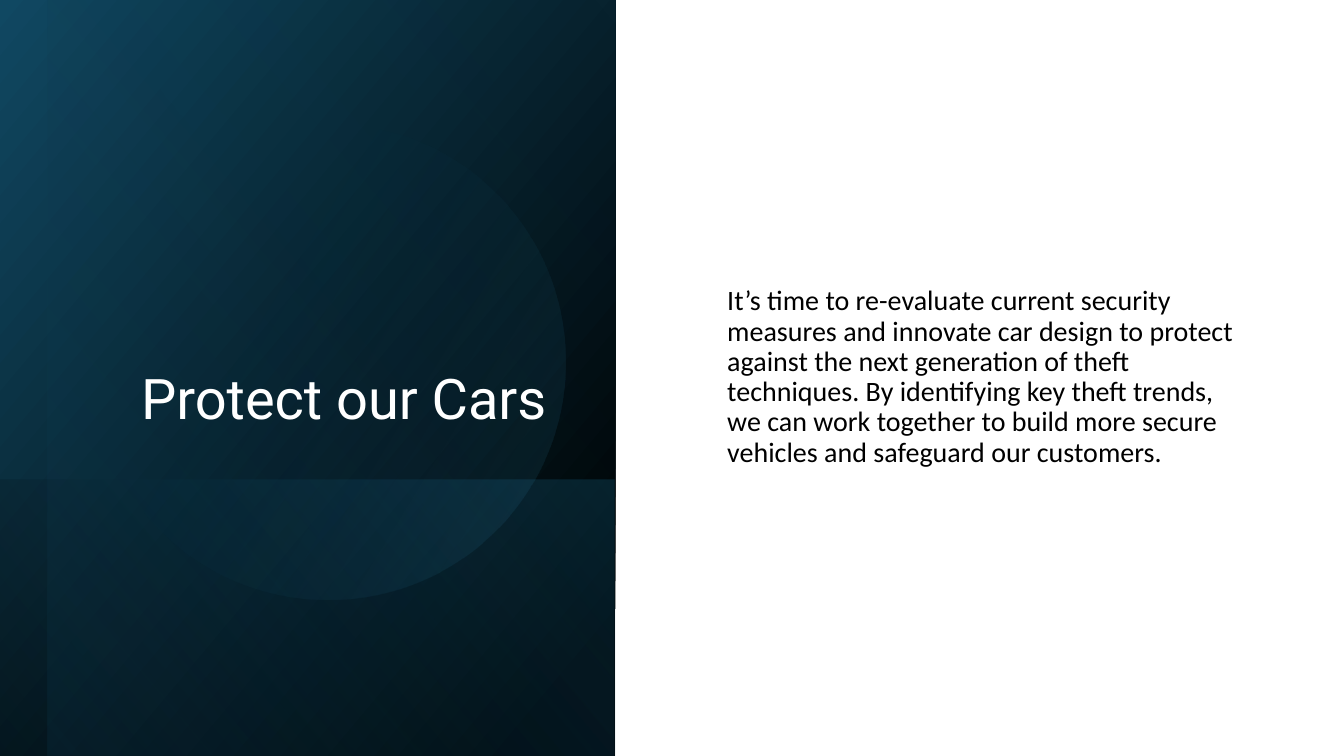
import pptx
import pptx.dml.color
import pptx.enum.shapes
import pptx.enum.text
import pptx.oxml
import pptx.oxml.ns
import pptx.util

PX = 9525  # EMU per px, 96 px to the inch
COLOURS = {
    "black": "000000",
    "white": "FFFFFF",
    "navy": "104862",
    "teal": "156082",
    "sky": "46B1E1",
}
SHAPES = pptx.enum.shapes.MSO_SHAPE
ALIGN = pptx.enum.text.PP_ALIGN
ANCHOR = pptx.enum.text.MSO_ANCHOR

presentation = pptx.Presentation()
presentation.slide_width = 1280 * PX
presentation.slide_height = 720 * PX
slide = presentation.slides.add_slide(presentation.slide_layouts[1])
slide.background.fill.solid()
slide.background.fill.fore_color.rgb = pptx.dml.color.RGBColor.from_string(COLOURS["white"])


def write_text(placeholder, text, *, box, font, size, colour, align, anchor, before=0):
    placeholder.left, placeholder.top, placeholder.width, placeholder.height = (
        length * PX for length in box
    )
    frame = placeholder.text_frame
    frame.word_wrap = True
    frame.auto_size = pptx.enum.text.MSO_AUTO_SIZE.NONE
    frame.vertical_anchor = anchor
    paragraph = frame.paragraphs[0]
    paragraph.alignment = align
    paragraph.line_spacing = 0.9
    paragraph.space_before = pptx.util.Pt(before)
    run = paragraph.add_run()
    run.text = text
    run.font.name = font
    run.font.size = pptx.util.Pt(size)
    run.font.color.rgb = pptx.dml.color.RGBColor.from_string(colour)
    return paragraph


# Left panel: visible box, rotation, gradient angle, stops (position, colour, opacity %)
layers = [
    (SHAPES.RECTANGLE, (0, 0, 586, 720), 90, 50,
     [(8, "black", 100), (100, "navy", 100)]),
    (SHAPES.RECTANGLE, (0, 457, 585, 263), 90, 130,
     [(2, "teal", 29), (100, "black", 30)]),
    (SHAPES.RECTANGLE, (45, 0, 541, 720), 90, 130,
     [(0, "black", 0), (99, "teal", 11)]),
    (SHAPES.OVAL, (86, 118, 453, 453), 101.6, 290,
     [(39, "teal", 0), (100, "sky", 15)]),
]
for kind, (left, top, width, height), rotation, angle, stops in layers:
    # A quarter turn swaps width and height around the same centre
    shift = (width - height) / 2
    shape = slide.shapes.add_shape(
        kind, int((left + shift) * PX), int((top - shift) * PX), height * PX, width * PX
    )
    shape.rotation = rotation
    shape.shadow.inherit = False
    shape.line.fill.background()
    if kind == SHAPES.RECTANGLE:
        shape.element.spPr.xfrm.set("flipH", "1")
    shape.fill.gradient()
    shape.fill.gradient_angle = 360 - angle
    for stop, (position, colour, _) in zip(shape.fill.gradient_stops, stops):
        stop.position = position / 100
        stop.color.rgb = pptx.dml.color.RGBColor.from_string(COLOURS[colour])
    gradient = shape.element.spPr.find(pptx.oxml.ns.qn("a:gradFill"))
    for colour_element, (_, _, opacity) in zip(gradient.iter(pptx.oxml.ns.qn("a:srgbClr")), stops):
        alpha = pptx.oxml.parse_xml(
            f'<a:alpha {pptx.oxml.ns.nsdecls("a")} val="{opacity * 1000}"/>'
        )
        colour_element.append(alpha)

# Title and body, brought in front of the panel
title, body = slide.shapes.title, slide.placeholders[1]
for placeholder in (title, body):
    slide.shapes.element.append(placeholder.element)

write_text(title, "Protect our Cars", box=(86, 61, 444, 355), font="Roboto", size=40,
           colour=COLOURS["white"], align=ALIGN.RIGHT, anchor=ANCHOR.BOTTOM)
message = write_text(
    body,
    "It’s time to re-evaluate current security measures and innovate car design to protect "
    "against the next generation of theft techniques. By identifying key theft trends, we can "
    "work together to build more secure vehicles and safeguard our customers.",
    box=(683, 68, 511, 583), font="Calibri", size=20, colour=COLOURS["black"],
    align=ALIGN.LEFT, anchor=ANCHOR.MIDDLE, before=10,
)

# Plain paragraph without the template's bullet
properties = message._p.get_or_add_pPr()
properties.set("marL", "0")
properties.set("indent", "0")
properties.append(pptx.oxml.parse_xml(f'<a:buNone {pptx.oxml.ns.nsdecls("a")}/>'))

presentation.save("out.pptx")
